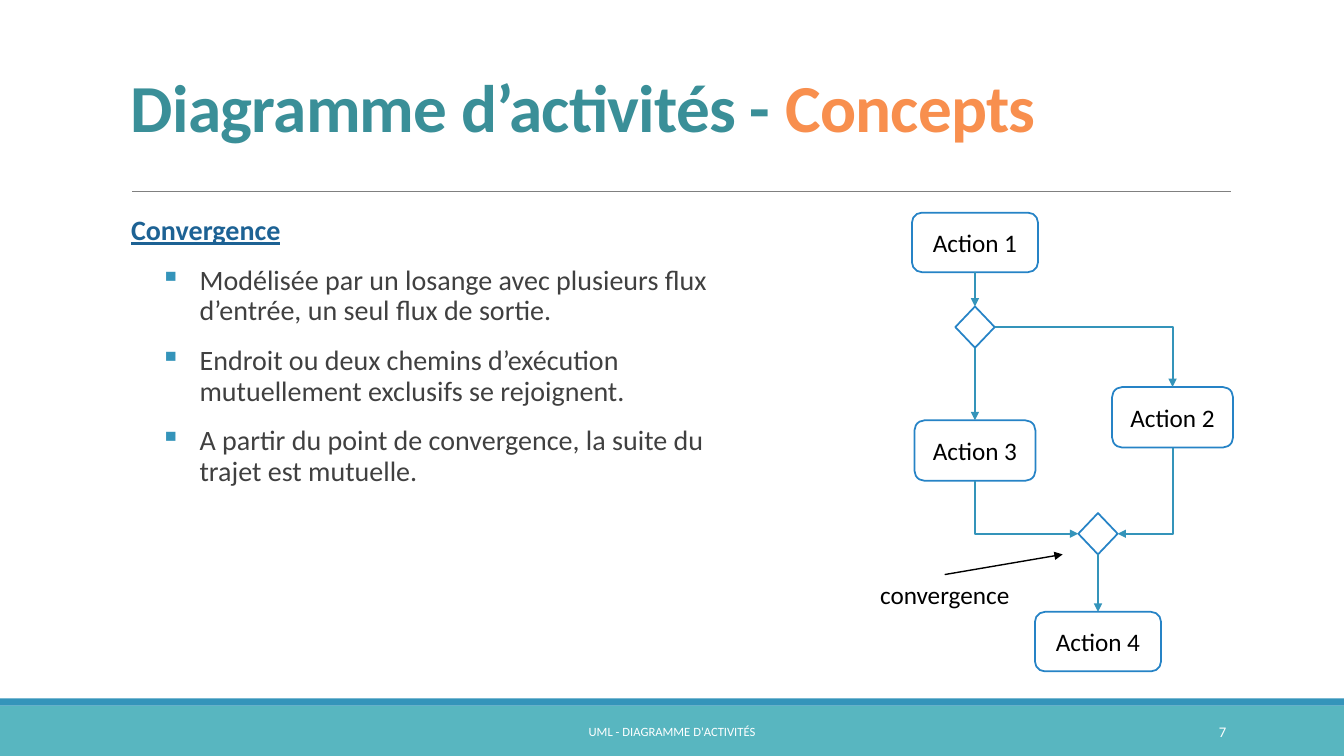
from lxml import etree
from pptx import Presentation
from pptx.dml.color import RGBColor
from pptx.enum import shapes, text
from pptx.oxml import ns
from pptx.util import Inches, Pt

TITLE = [("Diagramme d’activités - ", "3A8F98"), ("Concepts", "F88F4E")]
HEAD = "Convergence"
POINTS = [
    "Modélisée par un losange avec plusieurs flux d’entrée, un seul flux de sortie.",
    "Endroit ou deux chemins d’exécution mutuellement exclusifs se rejoignent.",
    "A partir du point de convergence, la suite du trajet est mutuelle.",
]
BANDS = [(7, 0.5, "58B6C0"), (6.93, 0.07, "3494BA")]
NODES = {
    "Action 1": (9.67, 2.11, 1.25, 0.59),
    "Action 2": (11.63, 3.84, 1.2, 0.6),
    "Action 3": (9.67, 4.17, 1.2, 0.6),
    "Action 4": (10.89, 6.07, 1.25, 0.59),
    "split": (9.67, 3.04, 0.39, 0.41),
    "merge": (10.89, 5.09, 0.39, 0.41),
}
FLOWS = [("Action 1", "split"), ("split", "Action 3"), ("merge", "Action 4")]
NOTE = ("convergence", (8.56, 5.7, 1.62, 0.4))
FOOT = "UML - DIAGRAMME D'ACTIVITÉS"
PAGE = "7"
TEAL, BLUE, BLACK, WHITE = "3494BA", "2683C6", "000000", "FFFFFF"
KIND, LINK = shapes.MSO_SHAPE, shapes.MSO_CONNECTOR
ALIGN, ANCHOR = text.PP_ALIGN, text.MSO_ANCHOR

deck = Presentation()
deck.slide_width, deck.slide_height = Inches(13.33), Inches(7.5)
slide = deck.slides.add_slide(deck.slide_layouts[6])


def color(code):
    return RGBColor.from_string(code)


def style(run, size, code, bold=False):
    run.font.name, run.font.size, run.font.bold = "Calibri", Pt(size), bold
    run.font.color.rgb = color(code)


def add_box(kind, spot, fill, edge=None):
    box = slide.shapes.add_shape(kind, *map(Inches, spot))
    box.shadow.inherit = False
    box.fill.solid()
    box.fill.fore_color.rgb = color(fill)
    if edge:
        box.line.color.rgb = color(edge)
        box.line.width = Pt(1.25)
    else:
        box.line.fill.background()
    return box


def add_frame(spot, anchor=ANCHOR.TOP):
    frame = slide.shapes.add_textbox(*map(Inches, spot)).text_frame
    frame.word_wrap = True
    frame.vertical_anchor = anchor
    return frame


def write(frame, words, size, code, align):
    frame.text = words
    line = frame.paragraphs[0]
    line.alignment = align
    style(line.runs[0], size, code)


def add_line(start, end, code, width, arrow=True, kind=LINK.STRAIGHT):
    line = slide.shapes.add_connector(kind, *map(Inches, start + end))
    line.line.color.rgb = color(code)
    line.line.width = Pt(width)
    if arrow:
        etree.SubElement(line.line._get_or_add_ln(), ns.qn("a:tailEnd"), type="triangle")
    etree.SubElement(line._element.spPr, ns.qn("a:effectLst"))
    return line


def add_bend(start, end, down=False):
    (x1, y1), (x2, y2) = start, end
    turn = {}
    if down:
        mx, my = (x1 + x2) / 2, (y1 + y2) / 2
        hw, hh = abs(y2 - y1) / 2, abs(x2 - x1) / 2
        start, end = (mx - hw, my - hh), (mx + hw, my + hh)
        turn = {"rot": "16200000", "flipH": "1"} if x2 > x1 else {"rot": "5400000"}
    bend = add_line(start, end, TEAL, 1.5, kind=LINK.ELBOW)
    props = bend._element.spPr
    props.find(ns.qn("a:prstGeom")).set("prst", "bentConnector2")
    for key, value in turn.items():
        props.find(ns.qn("a:xfrm")).set(key, value)


def side(name, way):
    mid, top, wide, high = NODES[name]
    return [(mid, top), (mid - wide / 2, top + high / 2),
            (mid, top + high), (mid + wide / 2, top + high / 2)][way]


for top, high, code in BANDS:
    add_box(KIND.RECTANGLE, (0, top, 13.33, high), code)
add_line((1.31, 1.9), (12.21, 1.9), "808080", 0.5, arrow=False)

title = add_frame((1.2, 0.31, 11, 1.19), ANCHOR.BOTTOM).paragraphs[0]
title.line_spacing = 0.85
for words, code in TITLE:
    run = title.add_run()
    run.text = words
    style(run, 48, code, True)
    run.font._element.set("spc", "-50")

body = add_frame((1.2, 2.1, 5.89, 4.61))
body.margin_left = body.margin_right = 0
body.text = "\n".join([HEAD] + POINTS)
for rank, line in enumerate(body.paragraphs):
    line.line_spacing, line.space_before, line.space_after = 0.9, Pt(12), Pt(2)
    style(line.runs[0], 20, "404040" if rank else "1D6294", rank == 0)
    line.runs[0].font.underline = rank == 0
    props = line._p.get_or_add_pPr()
    props.set("marL", str(Inches(0.78 if rank else 0.1)))
    props.set("indent", str(Inches(-0.39 if rank else 0)))
    if rank:
        tint = etree.SubElement(props, ns.qn("a:buClr"))
        etree.SubElement(tint, ns.qn("a:srgbClr"), val=TEAL)
        etree.SubElement(props, ns.qn("a:buChar"), char="▪")

nodes = {}
for name, (mid, top, wide, high) in NODES.items():
    act = name.startswith("Action")
    kind = KIND.ROUNDED_RECTANGLE if act else KIND.DIAMOND
    nodes[name] = add_box(kind, (mid - wide / 2, top, wide, high), WHITE, BLUE)
    if act:
        nodes[name].text_frame.vertical_anchor = ANCHOR.MIDDLE
        write(nodes[name].text_frame, name, 18, BLACK, ALIGN.CENTER)

for first, last in FLOWS:
    flow = add_line(side(first, 2), side(last, 0), TEAL, 1.5)
    flow.begin_connect(nodes[first], 2)
    flow.end_connect(nodes[last], 0)
add_bend(side("split", 3), side("Action 2", 0))
add_bend(side("Action 3", 2), side("merge", 1), down=True)
add_bend(side("Action 2", 2), side("merge", 3), down=True)

write(add_frame(NOTE[1]), NOTE[0], 18, BLACK, ALIGN.CENTER)
add_line((9.37, 5.7), (10.54, 5.5), BLACK, 1)
write(add_frame((4.03, 7.06, 5.27, 0.4), ANCHOR.MIDDLE), FOOT, 9, WHITE, ALIGN.CENTER)
write(add_frame((10.83, 7.06, 1.43, 0.4), ANCHOR.MIDDLE), PAGE, 10.5, WHITE, ALIGN.RIGHT)

deck.save("out.pptx")
